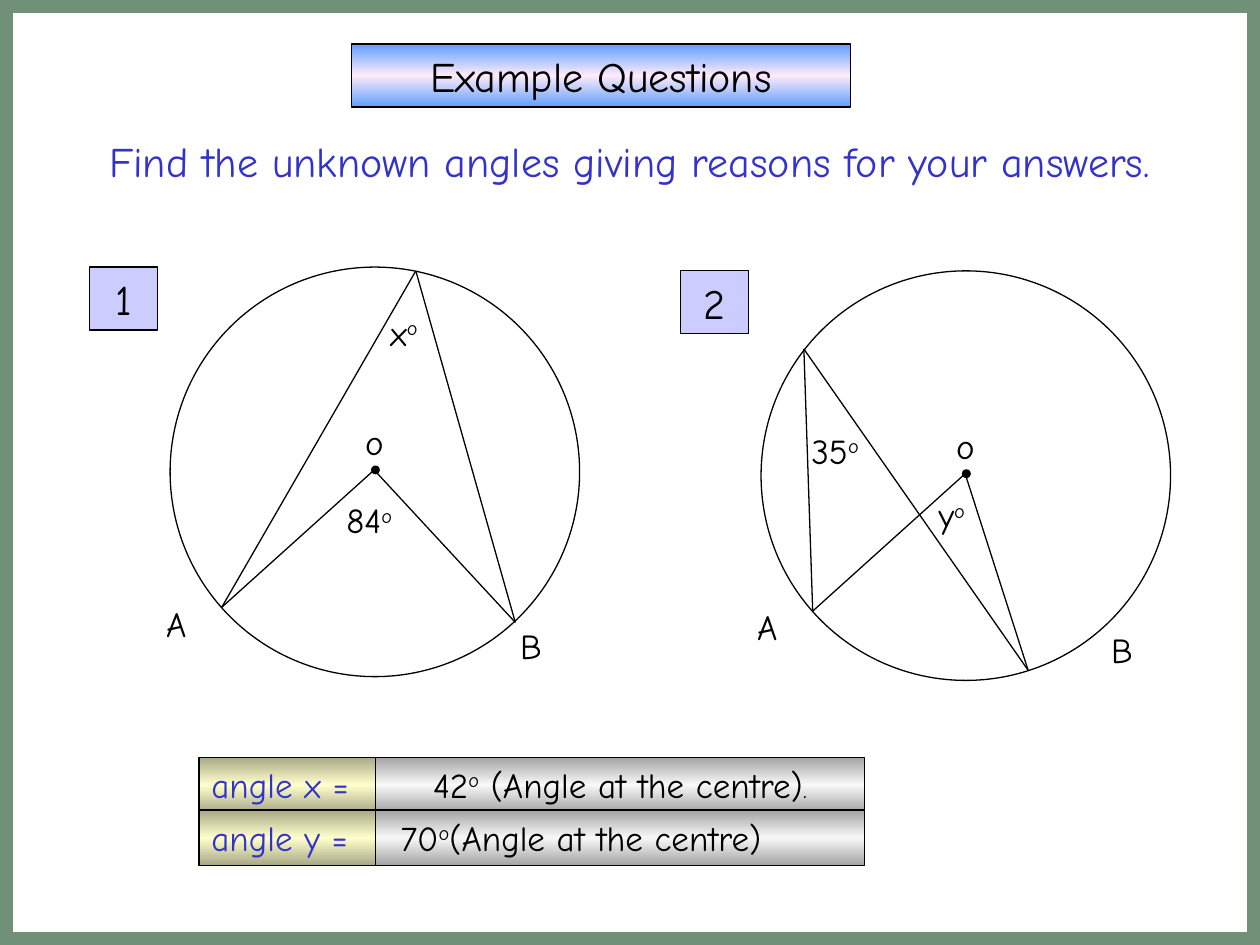
import copy
from dataclasses import dataclass
from typing import Any, NamedTuple

import pptx
import pptx.dml.color
import pptx.enum.shapes
import pptx.enum.text
import pptx.oxml.ns
import pptx.util
from lxml import etree

COLUMNS, ROWS = 100, 75
SHAPE = pptx.enum.shapes.MSO_SHAPE
ALIGN = pptx.enum.text.PP_ALIGN
qn = pptx.oxml.ns.qn


@dataclass(frozen=True)
class Theme:
    font: str = "Comic Neue"
    black: str = "000000"
    blue: str = "3333CC"
    badge: str = "CCCCFF"
    border: str = "709077"
    banner: tuple[str, ...] = ("5E9EFF", "FFEBFA", "5E9EFF")
    silver: tuple[str, ...] = ("A3A3A3", "F8F8F8", "A3A3A3")
    cream: tuple[str, ...] = ("A8A886", "FFFFCC", "A8A886")
    heading: float = 24
    body: float = 20
    small: float = 14
    thin: float = 0.75
    thick: float = 15


class Point(NamedTuple):
    column: float
    row: float

    def shifted(self, offset: "Point") -> "Point":
        return Point(self.column + offset.column, self.row + offset.row)


class Area(NamedTuple):
    column: float
    row: float
    columns: float
    rows: float


class Span(NamedTuple):
    text: str
    size: float
    raised: bool = False


@dataclass(frozen=True)
class Label:
    spans: list[Span]
    place: Point
    columns: float = 6.9


@dataclass(frozen=True)
class Diagram:
    number: str
    corner: Point
    apex: Point
    a: Point
    b: Point
    angles: list[Label]


@dataclass(frozen=True)
class Answer:
    name: str
    reason: list[Span]
    align: Any
    indent: float


THEME = Theme()
CENTRE = Point(16.2, 16.1)


def degrees(value: str) -> list[Span]:
    return [Span(value, THEME.body), Span("o", THEME.body, True)]


POINT_LABELS = [
    Label([Span("o", THEME.body)], Point(14.5, 11.7), 4.2),
    Label([Span("A", THEME.body)], Point(-1.3, 26.1), 4.2),
    Label([Span("B", THEME.body)], Point(26.8, 27.9), 4.2),
]
DIAGRAMS = [
    Diagram("1", Point(13.5, 21.2), Point(19.5, 0.3), Point(4.1, 27), Point(27.4, 28.2),
            [Label(degrees("84"), Point(13, 17.9)), Label(degrees("x"), Point(16.5, 3))]),
    Diagram("2", Point(60.4, 21.5), Point(3.4, 6.2), Point(4.1, 27), Point(21.2, 31.7),
            [Label(degrees("y"), Point(13.1, 17.2)), Label(degrees("35"), Point(3, 12.1))]),
]
ANSWERS = [
    Answer("angle x =", [*degrees("42"), Span(" (Angle at the centre)", THEME.body),
                         Span(".", THEME.small)], ALIGN.CENTER, 1),
    Answer("angle y =", [*degrees("70"), Span("(Angle at the centre)", THEME.body)],
           ALIGN.LEFT, 2),
]

deck = pptx.Presentation()
deck.slide_width, deck.slide_height = pptx.util.Inches(10), pptx.util.Inches(7.5)
page = deck.slides.add_slide(deck.slide_layouts[6])


def across(columns: float) -> int:
    return round(deck.slide_width * columns / COLUMNS)


def down(rows: float) -> int:
    return round(deck.slide_height * rows / ROWS)


def frame(area: Area) -> tuple[int, int, int, int]:
    return across(area.column), down(area.row), across(area.columns), down(area.rows)


def rgb(colour: str) -> pptx.dml.color.RGBColor:
    return pptx.dml.color.RGBColor.from_string(colour)


def set_values(target: Any, values: dict[str, Any]) -> None:
    for name, value in values.items():
        setattr(target, name, value)


def write(box: Any, spans: list[Span], colour: str = THEME.black,
          align: Any = ALIGN.LEFT, indent: float = 1) -> None:
    set_values(box.text_frame, {
        "word_wrap": True,
        "vertical_anchor": pptx.enum.text.MSO_ANCHOR.TOP,
        "margin_left": across(indent),
    })
    para = box.text_frame.paragraphs[0]
    para.alignment = align
    for span in spans:
        run = para.add_run()
        run.text = span.text
        set_values(run.font, {"name": THEME.font, "size": pptx.util.Pt(span.size)})
        run.font.color.rgb = rgb(colour)
        if span.raised:
            run.font._element.set("baseline", "30000")


def paint(box: Any, fill: str | tuple[str, ...] | None) -> None:
    if fill is None:
        box.fill.background()
    elif isinstance(fill, str):
        box.fill.solid()
        box.fill.fore_color.rgb = rgb(fill)
    else:
        box.fill.gradient()
        box.fill.gradient_angle = 90
        stop_list = next(box._element.iter(qn("a:gsLst")))
        stop_list.append(copy.deepcopy(stop_list[0]))
        for index, (stop, colour) in enumerate(zip(box.fill.gradient_stops, fill)):
            stop.position = index / (len(fill) - 1)
            stop.color.rgb = rgb(colour)


def draw_shape(kind: Any, area: Area, fill: str | tuple[str, ...] | None = None,
               colour: str = THEME.black, width: float = THEME.thin) -> Any:
    box = page.shapes.add_shape(kind, *frame(area))
    box.shadow.inherit = False
    paint(box, fill)
    box.line.color.rgb = rgb(colour)
    box.line.width = pptx.util.Pt(width)
    return box


def draw_line(start: Point, end: Point) -> None:
    line = page.shapes.add_connector(
        pptx.enum.shapes.MSO_CONNECTOR.STRAIGHT,
        across(start.column), down(start.row), across(end.column), down(end.row))
    line.line.color.rgb = rgb(THEME.black)
    line.line.width = pptx.util.Pt(THEME.thin)
    etree.SubElement(line._element.spPr, qn("a:effectLst"))


def draw_diagram(diagram: Diagram) -> None:
    left, top = diagram.corner
    draw_shape(SHAPE.OVAL, Area(left, top, 32.5, 32.5))
    draw_shape(SHAPE.OVAL, Area(left + 16, top + 15.8, 0.6, 0.6), THEME.black)
    for start in (CENTRE, diagram.apex):
        for end in (diagram.a, diagram.b):
            draw_line(start.shifted(diagram.corner), end.shifted(diagram.corner))
    for label in POINT_LABELS + diagram.angles:
        area = Area(*label.place.shifted(diagram.corner), label.columns, 4.4)
        write(page.shapes.add_textbox(*frame(area)), label.spans)
    badge = draw_shape(SHAPE.RECTANGLE, Area(left - 6.4, top, 5.4, 5), THEME.badge)
    write(badge, [Span(diagram.number, THEME.heading)], align=ALIGN.CENTER)


def draw_answer(answer: Answer, row: float) -> None:
    reason = draw_shape(SHAPE.RECTANGLE, Area(29.8, row, 38.8, 4.4), THEME.silver)
    write(reason, answer.reason, align=answer.align, indent=answer.indent)
    name = draw_shape(SHAPE.RECTANGLE, Area(15.8, row, 14, 4.4), THEME.cream)
    write(name, [Span(answer.name, THEME.body)], THEME.blue)


banner = draw_shape(SHAPE.RECTANGLE, Area(27.9, 3.5, 39.6, 5), THEME.banner)
write(banner, [Span("Example Questions", THEME.heading)], align=ALIGN.CENTER)
task = page.shapes.add_textbox(*frame(Area(3.4, 10.3, 93.1, 5)))
write(task, [Span("Find the unknown angles giving reasons for your answers.", THEME.heading)],
      THEME.blue, ALIGN.CENTER)
for diagram in DIAGRAMS:
    draw_diagram(diagram)
for index, answer in enumerate(ANSWERS):
    draw_answer(answer, 60.1 + 4.2 * index)
draw_shape(SHAPE.RECTANGLE, Area(0, 0, COLUMNS, ROWS), colour=THEME.border, width=THEME.thick)
deck.save("out.pptx")
